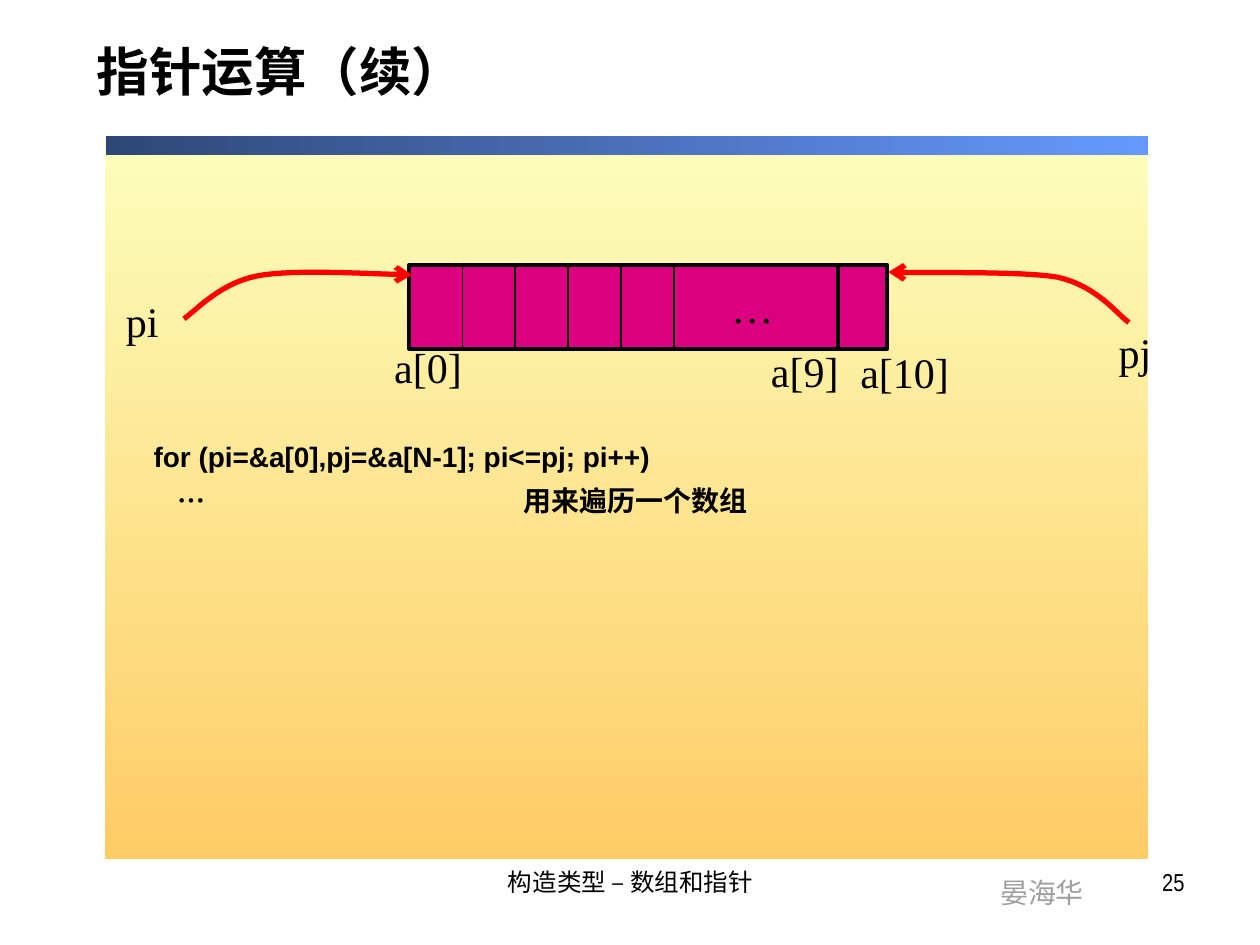
import pptx
import pptx.dml.color
import pptx.enum.dml
import pptx.enum.shapes
import pptx.enum.text
import pptx.oxml
import pptx.oxml.ns
import pptx.util
from pptx.util import Inches

COLORS = {
    "ink": "000000", "muted": "9F9F9F", "cell": "DC0081", "pointer": "FF0000",
    "panel_top": "FCFEBC", "panel_bottom": "FFCC66",
    "bar_left": "2F4776", "bar_right": "6699FF",
}
ALIGN = pptx.enum.text.PP_ALIGN
ANCHOR = pptx.enum.text.MSO_ANCHOR
SERIF = "Times New Roman"
NARROW = "Arial Narrow"


def rgb(name):
    """Return the named palette colour."""
    return pptx.dml.color.RGBColor.from_string(COLORS[name])


def add_element(parent, tag, **attributes):
    """Append a drawing element to a parent and return it."""
    child = pptx.oxml.parse_xml(f"<a:{tag} {pptx.oxml.ns.nsdecls('a')}/>")
    for key, value in attributes.items():
        child.set(key, str(value))
    parent.append(child)
    return child


def style_para(para, size, font, color="ink", bold=False, align=ALIGN.LEFT):
    """Set the font and alignment of a paragraph."""
    para.alignment = align
    para.font.size = pptx.util.Pt(size)
    para.font.name = font
    para.font.bold = bold
    para.font.color.rgb = rgb(color)


def add_text(page, text, left, top, width, height, size, font, wrap=True, **style):
    """Add a text box holding one paragraph and return its frame."""
    box = page.shapes.add_textbox(Inches(left), Inches(top), Inches(width), Inches(height))
    frame = box.text_frame
    frame.word_wrap = wrap
    para = frame.paragraphs[0]
    para.text = text
    style_para(para, size, font, **style)
    return frame


def add_rect(page, left, top, width, height):
    """Add a rectangle without a shadow."""
    rect = page.shapes.add_shape(
        pptx.enum.shapes.MSO_SHAPE.RECTANGLE,
        Inches(left), Inches(top), Inches(width), Inches(height))
    rect.shadow.inherit = False
    return rect


def add_gradient(page, left, top, width, height, colors, angle):
    """Add a borderless rectangle with a two-colour gradient."""
    rect = add_rect(page, left, top, width, height)
    rect.line.fill.background()
    rect.fill.gradient()
    rect.fill.gradient_angle = angle
    for stop, position, color in zip(rect.fill.gradient_stops, (0, 1), colors):
        stop.position = position
        stop.color.rgb = rgb(color)


def add_cell(page, left, top, width, height):
    """Add an outlined array cell."""
    cell = add_rect(page, left, top, width, height)
    cell.fill.solid()
    cell.fill.fore_color.rgb = rgb("cell")
    cell.line.color.rgb = rgb("ink")
    cell.line.width = pptx.util.Pt(2.25)
    return cell


def add_backdrop(page, left, top, width, height):
    """Draw the panel and the bar along its top edge."""
    add_gradient(page, left, top, width, height, ("panel_top", "panel_bottom"), 270)
    add_gradient(page, left + 0.01, top - 0.02, width - 0.01, 0.15,
                 ("bar_left", "bar_right"), 0)


def add_array(page, left, top, width, height):
    """Draw the array row, its dividers, the cell past its end and index labels."""
    pitch, end_width = 0.42, 0.39
    row = add_cell(page, left, top, width, height)
    frame = row.text_frame
    frame.vertical_anchor = ANCHOR.MIDDLE
    frame.margin_left = Inches(5 * pitch)
    para = frame.paragraphs[0]
    para.text = "…"
    style_para(para, 24, SERIF, align=ALIGN.CENTER)
    for index in range(1, 6):
        x = Inches(left + index * pitch)
        divider = page.shapes.add_connector(
            pptx.enum.shapes.MSO_CONNECTOR.STRAIGHT,
            x, Inches(top), x, Inches(top + height))
        divider.line.color.rgb = rgb("ink")
        divider.line.width = pptx.util.Pt(1)
        add_element(divider.element.spPr, "effectLst")
    add_cell(page, left + width - 0.04, top, end_width, height)
    for text, x, y in (("a[0]", -0.22, 0.56), ("a[9]", 2.77, 0.59), ("a[10]", 3.48, 0.6)):
        add_text(page, text, left + x, top + y, 1.02, 0.5, 24, SERIF)


def bezier(start, first, second, end, steps=16):
    """Return points along a cubic curve, leaving out its start."""
    points = []
    for step in range(1, steps + 1):
        t = step / steps
        weights = ((1 - t) ** 3, 3 * t * (1 - t) ** 2, 3 * t * t * (1 - t), t ** 3)
        points.append(tuple(
            Inches(sum(weight * value for weight, value in zip(weights, values)))
            for values in zip(start, first, second, end)))
    return points


def add_pointer(page, left, top, label, label_at, curve):
    """Draw a pointer label and its curved arrow of two cubic segments."""
    add_text(page, label, left + label_at[0], top + label_at[1], 0.59, 0.5, 24, SERIF)
    knots = [(left + x, top + y) for x, y in curve]
    builder = page.shapes.build_freeform(Inches(knots[0][0]), Inches(knots[0][1]))
    builder.add_line_segments(bezier(*knots[:4]) + bezier(*knots[3:]), close=False)
    arrow = builder.convert_to_shape()
    arrow.shadow.inherit = False
    arrow.fill.background()
    arrow.line.color.rgb = rgb("pointer")
    arrow.line.width = pptx.util.Pt(3)
    add_element(arrow.line._get_or_add_ln(), "tailEnd", type="arrow")


def add_code(page, left, top, width, height):
    """Write the loop and the remark beside its body."""
    frame = add_text(page, " for (pi=&a[0],pj=&a[N-1]; pi<=pj; pi++)",
                     left, top, width, height, 16, "Arial", bold=True)
    para = frame.add_paragraph()
    para.text = "     …\t用来遍历一个数组"
    para.space_before = pptx.util.Pt(6)
    tabs = add_element(para._p.get_or_add_pPr(), "tabLst")
    add_element(tabs, "tab", pos=Inches(3), algn="l")
    style_para(para, 16, "Arial", bold=True)


def add_title(page, left, top, width, height):
    """Write the slide title."""
    frame = add_text(page, "指针运算（续）", left, top, width, height, 30, NARROW, bold=True)
    frame.vertical_anchor = ANCHOR.MIDDLE
    frame.paragraphs[0].line_spacing = 0.8


def add_footer(page, left, top, width, height):
    """Write the chapter, author and page number."""
    add_text(page, "构造类型 – 数组和指针", left, top, 3.17, height, 14, NARROW,
             align=ALIGN.CENTER)
    add_text(page, "晏海华", left + 4.42, top + 0.07, 0.87, 0.37, 16, "Arial",
             wrap=False, color="muted")
    add_text(page, "25", left + width - 2.33, top, 2.33, height, 14, NARROW,
             align=ALIGN.RIGHT)


def main():
    """Build the slide and save the deck."""
    deck = pptx.Presentation()
    deck.slide_width, deck.slide_height = Inches(10), Inches(7.5)
    page = deck.slides.add_slide(deck.slide_layouts[6])
    add_backdrop(page, 0.83, 1.1, 8.28, 5.72)
    add_title(page, 0.67, 0.21, 8.96, 0.79)
    add_array(page, 3.25, 2.1, 3.44, 0.67)
    add_pointer(page, 0.9, 2.13, "pi", (0, 0.17), (
        (0.56, 0.4), (0.65, 0.34), (0.84, 0.12), (1.14, 0.06),
        (1.44, 0), (2.11, 0.05), (2.37, 0.05)))
    add_pointer(page, 7.05, 2.15, "pj", (1.73, 0.39), (
        (1.91, 0.41), (1.82, 0.35), (1.66, 0.12), (1.34, 0.05),
        (1.04, 0), (0.28, 0.02), (0, 0.01)))
    add_code(page, 1.06, 3.44, 8.39, 0.77)
    add_footer(page, 3.42, 6.83, 6.08, 0.52)
    deck.save("out.pptx")


if __name__ == "__main__":
    main()
